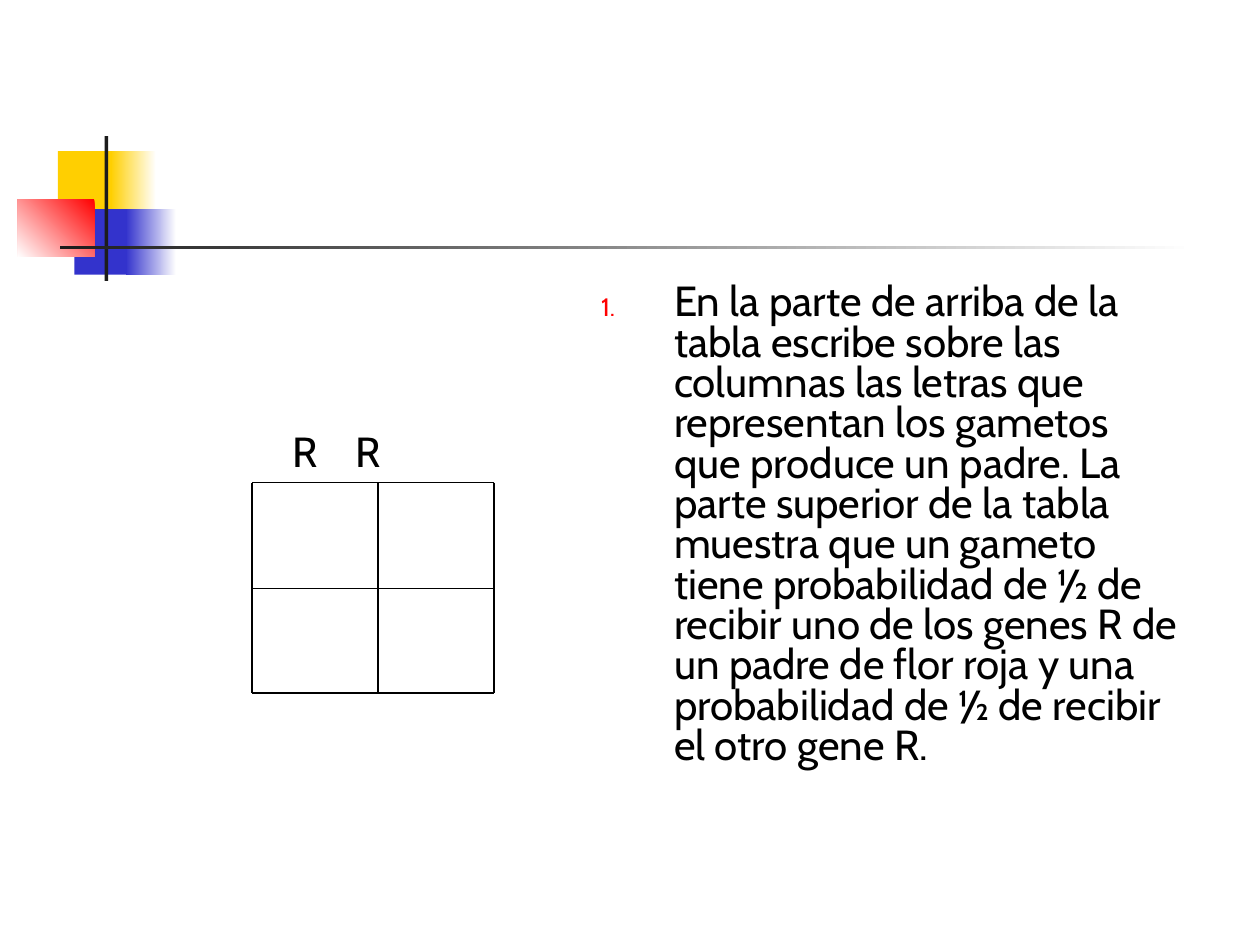
from lxml.etree import SubElement
from pptx import Presentation
from pptx.dml.color import RGBColor as RGB
from pptx.enum.shapes import MSO_CONNECTOR as LINE, MSO_SHAPE as SHAPE
from pptx.enum.text import MSO_AUTO_SIZE as FIT
from pptx.oxml.ns import qn
from pptx.util import Inches, Pt

COLORS = {"yellow": "FFCF01", "blue": "3333CC", "red": "FF0000",
          "dark": "1C1C1C", "white": "FFFFFF", "black": "000000"}

STEP = ("En la parte de arriba de la tabla escribe sobre las columnas las letras "
        "que representan los gametos que produce un padre. La parte superior de la "
        "tabla muestra que un gameto tiene probabilidad de ½ de recibir uno de los "
        "genes R de un padre de flor roja y una probabilidad de ½ de recibir el "
        "otro gene R.")
GAMETES = ["R", "R"]
FONT = {"name": "Cabin", "size": Pt(24)}

# box (left, top, width, height), first and last colour, clockwise angle
ORNAMENT = [
    ((0.46, 1.2, 0.48, 0.52), ["yellow"], 0),
    ((0.88, 1.2, 0.36, 0.52), ["white", "yellow"], 180),
    ((0.59, 1.66, 0.46, 0.52), ["blue"], 0),
    ((1, 1.66, 0.4, 0.52), ["white", "blue"], 180),
    ((0.14, 1.58, 0.61, 0.46), ["red", "white"], 135),
    ((0.83, 1.08, 0.03, 1.15), ["dark"], 0),
    ((0.48, 1.95, 9, 0.03), ["white", "dark"], 180),
]
STEP_BOX = (4.67, 2.21, 4.83, 4.71)
GAMETE_BOX = (1.92, 3.33, 2.08, 0.5)
COLUMNS = (2, 3, 3.92)
ROWS = (3.83, 4.67, 5.5)


def color(name):
    return RGB.from_string(COLORS[name])


def inches(values):
    return [Inches(v) for v in values]


def add_block(slide, box, names, angle):
    sp = slide.shapes.add_shape(SHAPE.RECTANGLE, *inches(box))
    sp.shadow.inherit = False
    sp.line.fill.background()
    if len(names) == 1:
        sp.fill.solid()
        sp.fill.fore_color.rgb = color(names[0])
        return
    sp.fill.gradient()
    sp.fill.gradient_angle = 360 - angle
    for stop, name in zip(sp.fill.gradient_stops, names):
        stop.color.rgb = color(name)


def add_line(slide, *ends):
    line = slide.shapes.add_connector(LINE.STRAIGHT, *inches(ends))
    line.line.color.rgb = color("black")
    line.line.width = Pt(0.75)
    SubElement(line._element.spPr, qn("a:effectLst"))


def write(sp, text, before, margin, indent):
    """Fill the shape with one paragraph and return its properties element."""
    tf = sp.text_frame
    tf.word_wrap = True
    p = tf.paragraphs[0]
    p.space_before = Pt(before)
    r = p.add_run()
    r.text = text
    for key, value in FONT.items():
        setattr(r.font, key, value)
    r.font.color.rgb = color("black")
    pPr = p._p.get_or_add_pPr()
    pPr.set("marL", str(Inches(margin)))
    pPr.set("indent", str(Inches(indent)))
    return pPr


def add_step(slide):
    sp = slide.placeholders[1]
    sp.left, sp.top, sp.width, sp.height = inches(STEP_BOX)
    pPr = write(sp, STEP, 6, 0.58, -0.58)
    sp.text_frame.auto_size = FIT.NONE
    sp.text_frame.paragraphs[0].line_spacing = 0.8
    bullet_color = SubElement(pPr, qn("a:buClr"))
    SubElement(bullet_color, qn("a:srgbClr"), val=COLORS["red"])
    SubElement(pPr, qn("a:buSzPct"), val="60000")
    SubElement(pPr, qn("a:buFont"), typeface=FONT["name"])
    SubElement(pPr, qn("a:buAutoNum"), type="arabicPeriod")


def add_gametes(slide):
    sp = slide.shapes.add_textbox(*inches(GAMETE_BOX))
    pPr = write(sp, "\t".join(GAMETES), 15, 0.3, 0)
    tabs = SubElement(pPr, qn("a:tabLst"))
    SubElement(tabs, qn("a:tab"), pos=str(Inches(1.03)), algn="l")


def main():
    prs = Presentation()
    prs.slide_width, prs.slide_height = inches((10, 7.5))
    slide = prs.slides.add_slide(prs.slide_layouts[1])
    title = slide.shapes.title._element
    title.getparent().remove(title)

    for block in ORNAMENT:
        add_block(slide, *block)
    add_step(slide)
    add_gametes(slide)
    for x in COLUMNS:
        add_line(slide, x, ROWS[0], x, ROWS[-1])
    for y in ROWS:
        add_line(slide, COLUMNS[0], y, COLUMNS[-1], y)
    prs.save("out.pptx")


if __name__ == "__main__":
    main()
